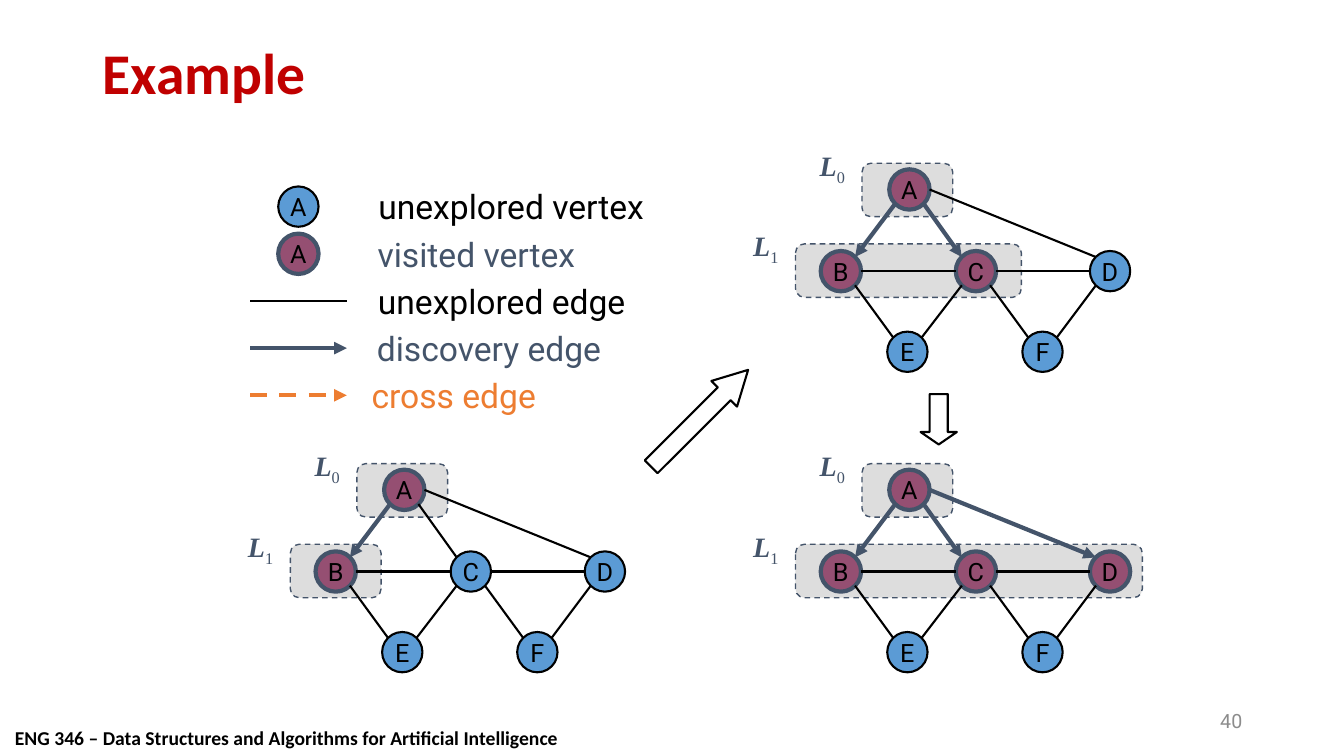
from dataclasses import dataclass

import pptx
import pptx.dml.color
import pptx.enum.dml
import pptx.enum.shapes
import pptx.enum.text
import pptx.oxml
import pptx.oxml.ns
import pptx.util
from pptx.util import Inches

BLACK, SLATE, ORANGE = "000000", "44546A", "ED7D31"
BLUE, PLUM, GREY, RED = "5B9BD5", "954F72", "DDDDDD", "C00000"
DIAMETER, RADIUS, DIAGONAL = 0.4, 0.2, 0.14
SHAPES = pptx.enum.shapes.MSO_SHAPE
ALIGN = pptx.enum.text.PP_ALIGN
MIDDLE = pptx.enum.text.MSO_ANCHOR.MIDDLE
DASH = pptx.enum.dml.MSO_LINE.DASH


@dataclass
class Stroke:
    color: str
    width: float
    dashed: bool = False
    arrow: bool = False


@dataclass
class Edge:
    start: str
    end: str
    start_offset: tuple[float, float]
    end_offset: tuple[float, float]


@dataclass
class Graph:
    left: float
    top: float
    visited: str
    discovered: str  # vertices reached from A by a discovery edge
    level_width: float


@dataclass
class LegendText:
    text: str
    left: float
    width: float
    color: str


@dataclass
class BlockArrow:
    left: float
    top: float
    width: float
    rotation: float
    head: float


UNEXPLORED = Stroke(BLACK, 1.5)
VISITED = Stroke(SLATE, 3)
DISCOVERY = Stroke(SLATE, 3, arrow=True)
CROSS = Stroke(ORANGE, 3, dashed=True, arrow=True)
LEVEL = Stroke(SLATE, 1, dashed=True)

# Vertex centres, measured from the top left corner of a graph
VERTICES = {"A": (0.88, 0.2), "B": (0.2, 1.01), "C": (1.54, 1.01),
            "D": (2.87, 1.01), "E": (0.86, 1.81), "F": (2.2, 1.81)}

UP_LEFT, UP_RIGHT = (-DIAGONAL, -DIAGONAL), (DIAGONAL, -DIAGONAL)
DOWN_LEFT, DOWN_RIGHT = (-DIAGONAL, DIAGONAL), (DIAGONAL, DIAGONAL)
LEFT, RIGHT = (-RADIUS, 0), (RADIUS, 0)
EDGES = [
    Edge("A", "B", DOWN_LEFT, UP_RIGHT),
    Edge("A", "C", DOWN_RIGHT, UP_LEFT),
    Edge("A", "D", RIGHT, UP_LEFT),
    Edge("B", "C", RIGHT, LEFT),
    Edge("C", "D", RIGHT, LEFT),
    Edge("B", "E", DOWN_RIGHT, UP_LEFT),
    Edge("C", "E", DOWN_LEFT, UP_RIGHT),
    Edge("C", "F", DOWN_RIGHT, UP_LEFT),
    Edge("D", "F", DOWN_LEFT, UP_RIGHT),
]
GRAPHS = [
    Graph(3.13, 4.66, "AB", "B", 0.9),
    Graph(8.14, 1.68, "ABC", "BC", 2.24),
    Graph(8.14, 4.66, "ABCD", "BCD", 3.44),
]
LEGEND_TOP, LEGEND_STEP = 1.8, 0.468
LEGEND = [
    LegendText("unexplored vertex", 3.55, 3.04, BLACK),
    LegendText("visited vertex", 3.59, 2.27, SLATE),
    LegendText("unexplored edge", 3.55, 2.85, BLACK),
    LegendText("discovery edge", 3.58, 2.54, SLATE),
    LegendText("cross edge", 3.56, 1.88, ORANGE),
]
BLOCK_ARROWS = [BlockArrow(9.06, 3.98, 0.5, 90, 0.343),
                BlockArrow(6.26, 3.97, 1.36, 315, 0.932)]


def rgb(value: str) -> pptx.dml.color.RGBColor:
    return pptx.dml.color.RGBColor.from_string(value)


def set_font(font, name: str, size: float, color: str, bold=False, italic=False) -> None:
    font.name, font.size = name, pptx.util.Pt(size)
    font.bold, font.italic = bold, italic
    font.color.rgb = rgb(color)


def set_line(line, stroke: Stroke) -> None:
    line.color.rgb = rgb(stroke.color)
    line.width = pptx.util.Pt(stroke.width)
    if stroke.dashed:
        line.dash_style = DASH


def add_box(slide, left: float, top: float, width: float, height: float,
            align=ALIGN.LEFT, wrap=True):
    box = slide.shapes.add_textbox(Inches(left), Inches(top), Inches(width), Inches(height))
    box.text_frame.word_wrap = wrap
    box.text_frame.paragraphs[0].alignment = align
    return box.text_frame


def add_shape(slide, kind, left: float, top: float, width: float, height: float,
              stroke: Stroke, fill: str | None = None):
    shape = slide.shapes.add_shape(kind, Inches(left), Inches(top), Inches(width), Inches(height))
    shape.shadow.inherit = False
    if fill:
        shape.fill.solid()
        shape.fill.fore_color.rgb = rgb(fill)
    else:
        shape.fill.background()
    set_line(shape.line, stroke)
    return shape


def add_vertex(slide, name: str, x: float, y: float, visited: bool) -> None:
    shape = add_shape(slide, SHAPES.OVAL, x - RADIUS, y - RADIUS, DIAMETER, DIAMETER,
                      VISITED if visited else UNEXPLORED, PLUM if visited else BLUE)
    frame = shape.text_frame
    frame.word_wrap, frame.vertical_anchor = False, MIDDLE
    paragraph = frame.paragraphs[0]
    paragraph.text, paragraph.alignment = name, ALIGN.CENTER
    set_font(paragraph.font, "Roboto", 18, BLACK)


def add_edge(slide, x1: float, y1: float, x2: float, y2: float, stroke: Stroke) -> None:
    connector = slide.shapes.add_connector(pptx.enum.shapes.MSO_CONNECTOR.STRAIGHT,
                                           Inches(x1), Inches(y1), Inches(x2), Inches(y2))
    set_line(connector.line, stroke)
    if stroke.arrow:
        line = connector.line._get_or_add_ln()
        line.append(pptx.oxml.parse_xml(
            f'<a:tailEnd {pptx.oxml.ns.nsdecls("a")} type="triangle"/>'))
    properties = connector._element.spPr
    properties.append(pptx.oxml.parse_xml(f'<a:effectLst {pptx.oxml.ns.nsdecls("a")}/>'))


def add_level(slide, number: int, left: float, top: float, width: float) -> None:
    shape = add_shape(slide, SHAPES.ROUNDED_RECTANGLE, left, top, width, 0.53, LEVEL, GREY)
    shape.adjustments[0] = 0.167
    paragraph = add_box(slide, left - 0.55, top - 0.2, 0.51, 0.48, ALIGN.CENTER).paragraphs[0]
    for text, is_letter in (("L", True), (str(number), False)):
        run = paragraph.add_run()
        run.text = text
        set_font(run.font, "Times New Roman", 20, SLATE, is_letter, is_letter)
        if not is_letter:
            run.font._element.set("baseline", "-25000")


def add_graph(slide, graph: Graph) -> None:
    add_level(slide, 0, graph.left + 0.41, graph.top - 0.06, 0.9)
    add_level(slide, 1, graph.left - 0.25, graph.top + 0.74, graph.level_width)
    centers = {name: (graph.left + x, graph.top + y) for name, (x, y) in VERTICES.items()}
    for name, (x, y) in centers.items():
        add_vertex(slide, name, x, y, name in graph.visited)
    for edge in EDGES:
        (x1, y1), (x2, y2) = centers[edge.start], centers[edge.end]
        (dx1, dy1), (dx2, dy2) = edge.start_offset, edge.end_offset
        discovered = edge.start == "A" and edge.end in graph.discovered
        add_edge(slide, x1 + dx1, y1 + dy1, x2 + dx2, y2 + dy2,
                 DISCOVERY if discovered else UNEXPLORED)


def add_legend(slide) -> None:
    for row, item in enumerate(LEGEND):
        frame = add_box(slide, item.left, LEGEND_TOP + row * LEGEND_STEP, item.width, 0.5,
                        ALIGN.CENTER, wrap=False)
        frame.paragraphs[0].text = item.text
        set_font(frame.paragraphs[0].font, "Roboto", 24, item.color)
    middles = [LEGEND_TOP + 0.25 + row * LEGEND_STEP for row in range(len(LEGEND))]
    for y, visited in zip(middles[:2], (False, True)):
        add_vertex(slide, "A", 2.96, y, visited)
    for y, stroke in zip(middles[2:], (UNEXPLORED, DISCOVERY, CROSS)):
        add_edge(slide, 2.48, y, 3.44, y, stroke)


def main() -> None:
    presentation = pptx.Presentation()
    presentation.slide_width, presentation.slide_height = Inches(13.33), Inches(7.5)
    slide = presentation.slides.add_slide(presentation.slide_layouts[6])

    # Title, footer and slide number
    title = add_box(slide, 0.92, 0.4, 11.5, 0.7)
    title.vertical_anchor = MIDDLE
    title.paragraphs[0].text, title.paragraphs[0].line_spacing = "Example", 0.9
    set_font(title.paragraphs[0].font, "Calibri", 41.1, RED, bold=True)
    footer = add_box(slide, 0.05, 7.15, 5.63, 0.33, wrap=False).paragraphs[0]
    footer.text = "ENG 346 – Data Structures and Algorithms for Artificial Intelligence"
    set_font(footer.font, "Calibri", 14, BLACK, bold=True)
    number = add_box(slide, 9.42, 6.95, 3, 0.4, ALIGN.RIGHT)
    number.vertical_anchor = MIDDLE
    number.paragraphs[0].text = "40"
    set_font(number.paragraphs[0].font, "Roboto", 14, "8C8C8C")

    # Legend, search steps and the arrows between them
    add_legend(slide)
    for graph in GRAPHS:
        add_graph(slide, graph)
    for arrow in BLOCK_ARROWS:
        shape = add_shape(slide, SHAPES.RIGHT_ARROW, arrow.left, arrow.top, arrow.width, 0.36,
                          UNEXPLORED)
        shape.rotation, shape.adjustments[1] = arrow.rotation, arrow.head
    presentation.save("out.pptx")


if __name__ == "__main__":
    main()
